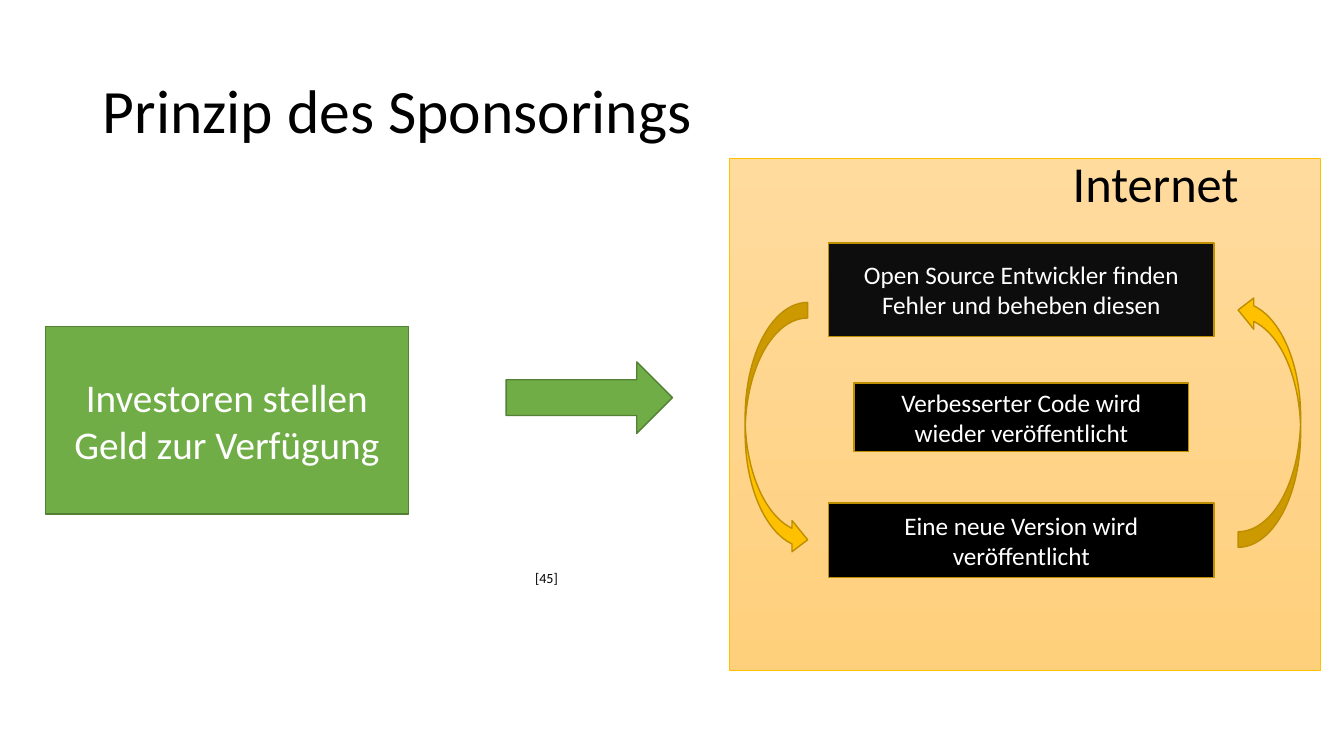
from pptx import Presentation
from pptx.dml.color import RGBColor
from pptx.enum.shapes import MSO_SHAPE
from pptx.enum.text import MSO_ANCHOR, PP_ALIGN
from pptx.util import Inches, Pt

FONT = "Calibri"
BLACK = RGBColor(0x00, 0x00, 0x00)
NEAR_BLACK = RGBColor(0x0D, 0x0D, 0x0D)
WHITE = RGBColor(0xFF, 0xFF, 0xFF)
GREEN = RGBColor(0x70, 0xAD, 0x47)
DARK_GREEN = RGBColor(0x53, 0x80, 0x35)
GOLD = RGBColor(0xFF, 0xC0, 0x00)
DARK_GOLD = RGBColor(0xBD, 0x8E, 0x00)
PALE_ORANGE = RGBColor(0xFF, 0xDB, 0x9E)
ORANGE = RGBColor(0xFF, 0xD0, 0x7C)


def write(frame, text, size, color, align=PP_ALIGN.LEFT, anchor=MSO_ANCHOR.TOP):
    frame.word_wrap = True
    frame.vertical_anchor = anchor
    para = frame.paragraphs[0]
    para.alignment = align
    span = para.add_run()
    span.text = text
    span.font.name = FONT
    span.font.size = Pt(size)
    span.font.color.rgb = color
    return para


def add_label(page, left, top, width, height, text, size):
    box = page.shapes.add_textbox(Inches(left), Inches(top), Inches(width), Inches(height))
    return write(box.text_frame, text, size, BLACK)


def add_figure(page, kind, left, top, width, height, fill, line, line_width=1):
    figure = page.shapes.add_shape(
        kind, Inches(left), Inches(top), Inches(width), Inches(height))
    figure.shadow.inherit = False
    figure.fill.solid()
    figure.fill.fore_color.rgb = fill
    figure.line.color.rgb = line
    figure.line.width = Pt(line_width)
    return figure


def add_process(page, left, top, width, height, fill, line, text, size):
    process = add_figure(page, MSO_SHAPE.FLOWCHART_PROCESS,
                         left, top, width, height, fill, line)
    write(process.text_frame, text, size, WHITE, PP_ALIGN.CENTER, MSO_ANCHOR.MIDDLE)


def add_title(page, left, top, width, height):
    title = page.shapes.title
    title.left, title.top = Inches(left), Inches(top)
    title.width, title.height = Inches(width), Inches(height)
    para = write(title.text_frame, "Prinzip des Sponsorings", 44, BLACK,
                 anchor=MSO_ANCHOR.MIDDLE)
    para.line_spacing = 0.9


def add_investors(page, left, top, width, height):
    add_process(page, left, top, width, height, GREEN, DARK_GREEN,
                "Investoren stellen Geld zur Verfügung", 28)
    # Money flows towards the internet panel
    add_figure(page, MSO_SHAPE.RIGHT_ARROW, left + 4.57, top + 0.35, 1.65, 0.71,
               GREEN, DARK_GREEN)


def add_internet(page, left, top, width, height):
    # Panel with its heading
    panel = add_figure(page, MSO_SHAPE.RECTANGLE, left, top, width, height,
                       PALE_ORANGE, GOLD, 0.5)
    panel.fill.gradient()
    panel.fill.gradient_angle = 270
    for stop, color in zip(panel.fill.gradient_stops, (PALE_ORANGE, ORANGE)):
        stop.color.rgb = color
    add_label(page, left + 3.31, top - 0.11, 1.97, 0.71, "Internet", 36)

    # Development steps, centred on one axis
    axis = left + 2.9
    steps = (
        (0.84, 3.82, 0.93, NEAR_BLACK,
         "Open Source Entwickler finden Fehler und beheben diesen"),
        (2.23, 3.32, 0.68, BLACK, "Verbesserter Code wird wieder veröffentlicht"),
        (3.42, 3.82, 0.74, BLACK, "Eine neue Version wird veröffentlicht"),
    )
    for offset, step_width, step_height, fill, text in steps:
        add_process(page, axis - step_width / 2, top + offset, step_width, step_height,
                    fill, DARK_GOLD, text, 18)

    # Arrows closing the cycle
    for across, down, rotation in ((0.16, 1.43, 0), (5.05, 1.35, 180)):
        arrow = add_figure(page, MSO_SHAPE.CURVED_RIGHT_ARROW, left + across, top + down,
                           0.62, 2.51, GOLD, DARK_GOLD)
        arrow.rotation = rotation


def main():
    deck = Presentation()
    deck.slide_width, deck.slide_height = Inches(13.33), Inches(7.5)
    page = deck.slides.add_slide(deck.slide_layouts[5])
    add_title(page, 0.92, 0.4, 11.5, 1.45)
    add_internet(page, 7.23, 1.57, 5.87, 5.08)
    add_investors(page, 0.45, 3.24, 3.6, 1.86)
    # Source reference
    add_label(page, 5.21, 5.62, 0.63, 0.22, "[45]", 10).line_spacing = 0.9
    deck.save("out.pptx")


if __name__ == "__main__":
    main()
